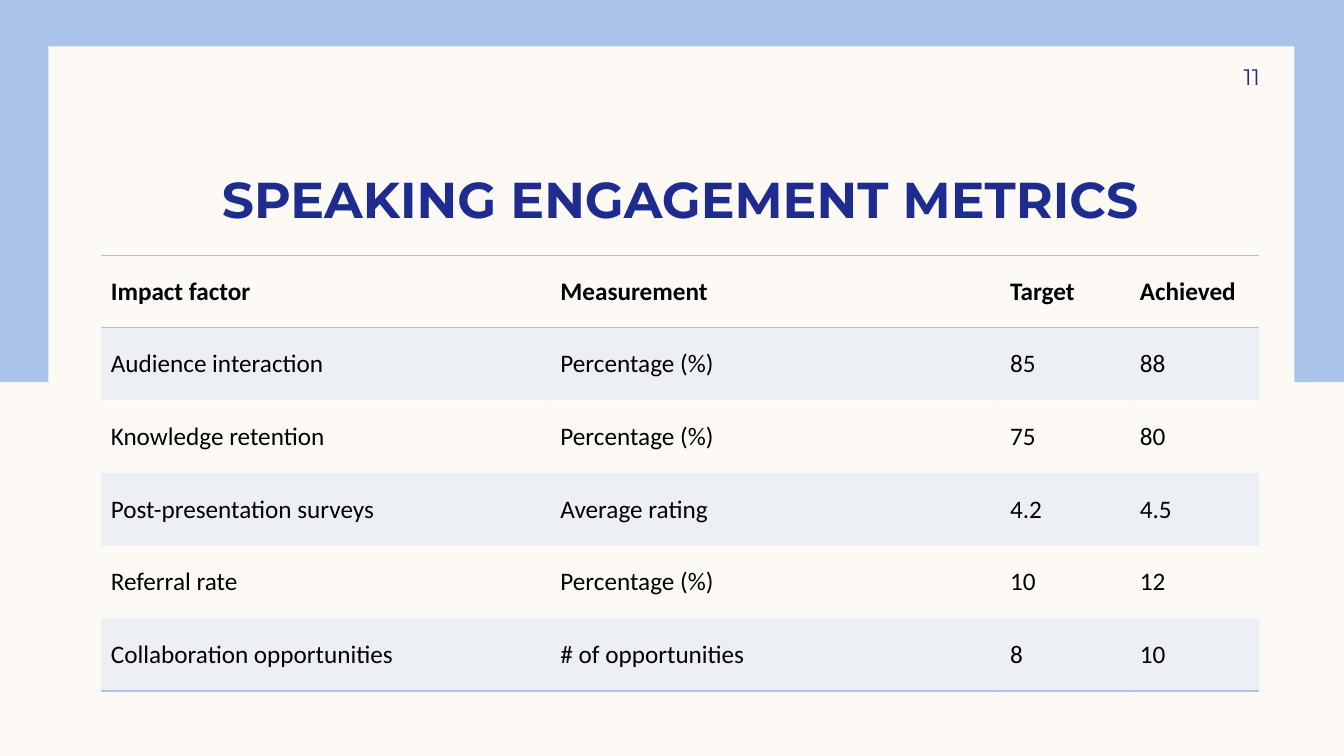
from lxml.etree import SubElement
from pptx import Presentation
from pptx.dml.color import RGBColor
from pptx.enum.shapes import MSO_SHAPE
from pptx.enum.text import MSO_ANCHOR, PP_ALIGN
from pptx.oxml import parse_xml
from pptx.oxml.ns import nsdecls, qn
from pptx.util import Cm, Pt

CREAM = RGBColor(0xFD, 0xFA, 0xF6)
SKY = RGBColor(0xAA, 0xC3, 0xE8)
NAVY = RGBColor(0x1F, 0x2C, 0x8F)
BLACK = RGBColor(0, 0, 0)

PLAIN_TABLE_STYLE = "{2D5ABB26-0587-4C30-8999-92F81FD0307C}"
COLUMN_WIDTHS = [11.33, 11.33, 3.27, 3.27]
ROW_HEIGHT = 1.83
METRICS = [
    ["Impact factor", "Measurement", "Target", "Achieved"],
    ["Audience interaction", "Percentage (%)", "85", "88"],
    ["Knowledge retention", "Percentage (%)", "75", "80"],
    ["Post-presentation surveys", "Average rating", "4.2", "4.5"],
    ["Referral rate", "Percentage (%)", "10", "12"],
    ["Collaboration opportunities", "# of opportunities", "8", "10"],
]


def add_panel(page, left, top, width, height, color):
    panel = page.shapes.add_shape(
        MSO_SHAPE.RECTANGLE, Cm(left), Cm(top), Cm(width), Cm(height))
    panel.shadow.inherit = False
    panel.fill.solid()
    panel.fill.fore_color.rgb = color
    panel.line.fill.background()


def style_paragraph(para, name, size, color, bold=False):
    para.font.name = name
    para.font.size = Pt(size)
    para.font.color.rgb = color
    para.font.bold = bold


def add_text(page, text, place, size, align, anchor, insets, bold=False):
    """Place is left, top, width, height; insets are left, top, right, bottom."""
    box = page.shapes.add_textbox(*map(Cm, place))
    frame = box.text_frame
    frame.word_wrap = True
    frame.vertical_anchor = anchor
    (frame.margin_left, frame.margin_top,
     frame.margin_right, frame.margin_bottom) = map(Cm, insets)
    para = frame.paragraphs[0]
    para.text = text
    para.alignment = align
    style_paragraph(para, "Montserrat", size, NAVY, bold)


def set_borders(cell, sides):
    """Draw thin rules on the given sides, listed in schema order (T, B)."""
    properties = cell._tc.get_or_add_tcPr()
    for position, side in enumerate(sides):
        properties.insert(position, parse_xml(
            f'<a:ln{side} {nsdecls("a")} w="{Pt(1)}"><a:solidFill>'
            f'<a:srgbClr val="{SKY}"/></a:solidFill></a:ln{side}>'))


def fill_band(cell):
    cell.fill.solid()
    cell.fill.fore_color.rgb = SKY
    color = cell._tc.tcPr.find(f'{qn("a:solidFill")}/{qn("a:srgbClr")}')
    SubElement(color, qn("a:alpha"), val="20000")


def add_metrics_table(page, left, top):
    table = page.shapes.add_table(
        len(METRICS), len(COLUMN_WIDTHS), Cm(left), Cm(top),
        Cm(sum(COLUMN_WIDTHS)), Cm(ROW_HEIGHT * len(METRICS))).table
    table._tbl.tblPr.find(qn("a:tableStyleId")).text = PLAIN_TABLE_STYLE
    table.horz_banding = False
    for column, width in zip(table.columns, COLUMN_WIDTHS):
        column.width = Cm(width)
    for row_number, values in enumerate(METRICS):
        table.rows[row_number].height = Cm(ROW_HEIGHT)
        for column_number, value in enumerate(values):
            cell = table.cell(row_number, column_number)
            cell.text = value
            cell.vertical_anchor = MSO_ANCHOR.MIDDLE
            style_paragraph(cell.text_frame.paragraphs[0], "Calibri", 18,
                            BLACK, bold=row_number == 0)
            if row_number % 2:
                fill_band(cell)
            else:
                cell.fill.background()
            if row_number == 0:
                set_borders(cell, "TB")
            elif row_number == len(METRICS) - 1:
                set_borders(cell, "B")


def main():
    deck = Presentation()
    deck.slide_width, deck.slide_height = Cm(33.87), Cm(19.05)
    page = deck.slides.add_slide(deck.slide_layouts[6])
    page.background.fill.solid()
    page.background.fill.fore_color.rgb = CREAM

    add_panel(page, 0, 0, 33.87, 9.63, SKY)
    add_panel(page, 1.22, 1.17, 31.4, 16.74, CREAM)
    add_text(page, "SPEAKING ENGAGEMENT METRICS", (2.54, 2.95, 29.2, 2.82), 36,
             PP_ALIGN.CENTER, MSO_ANCHOR.BOTTOM, (0.25, 0, 0.25, 0), bold=True)
    add_metrics_table(page, 2.54, 6.43)
    add_text(page, "11", (28.78, 1.27, 2.97, 1.32), 16,
             PP_ALIGN.RIGHT, MSO_ANCHOR.MIDDLE, (0.25, 0.13, 0, 0.13))
    deck.save("out.pptx")


if __name__ == "__main__":
    main()
